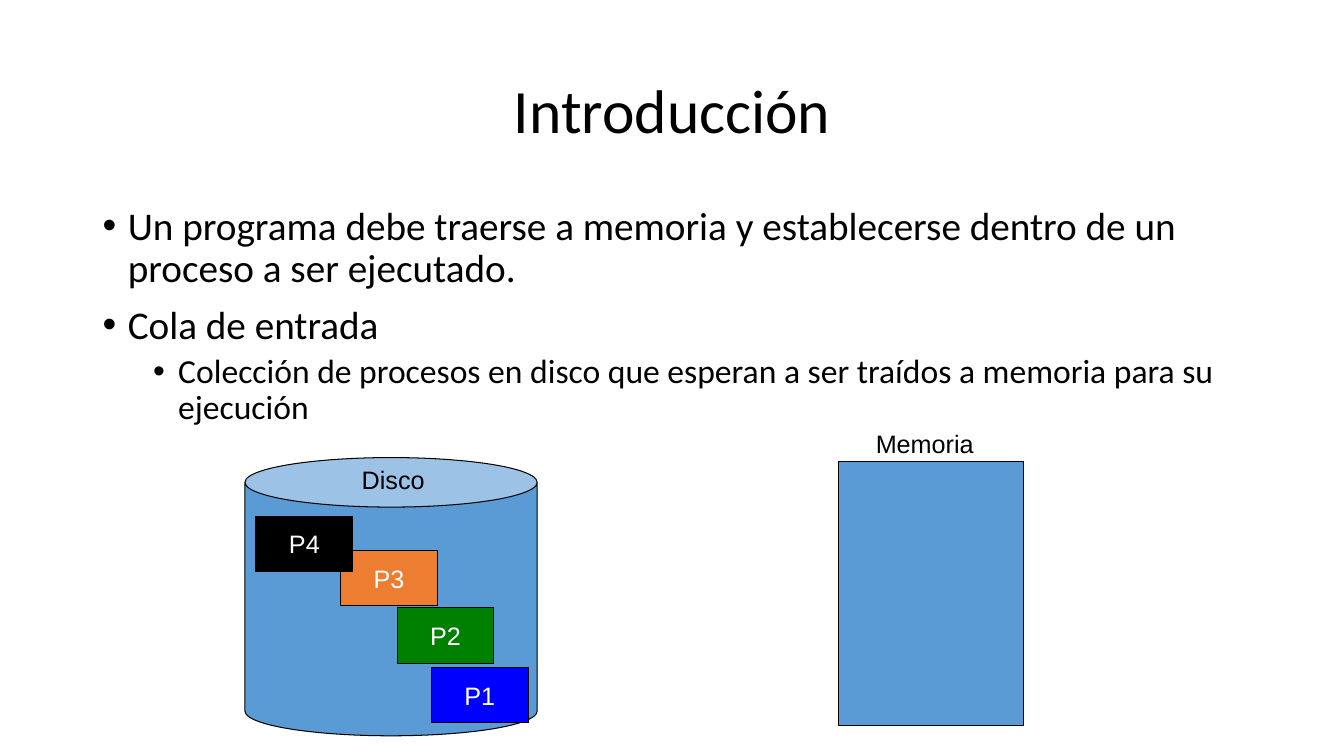
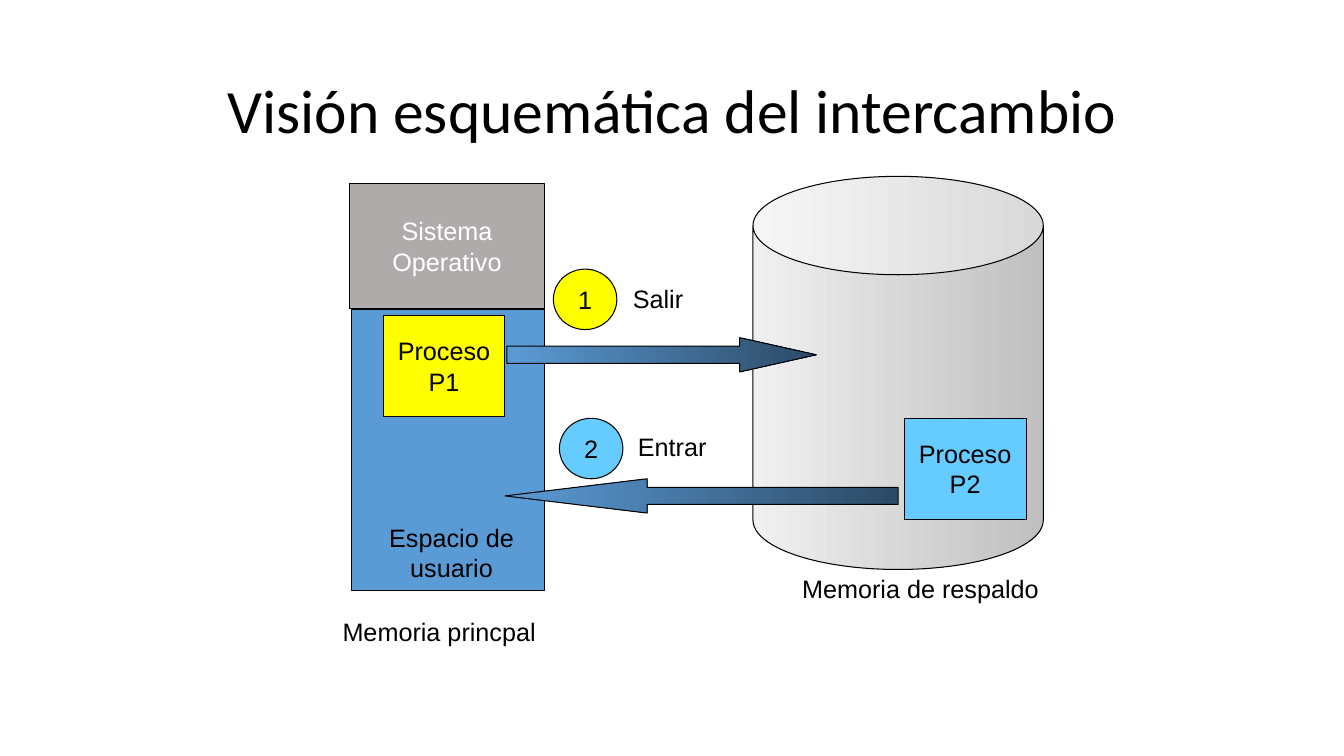
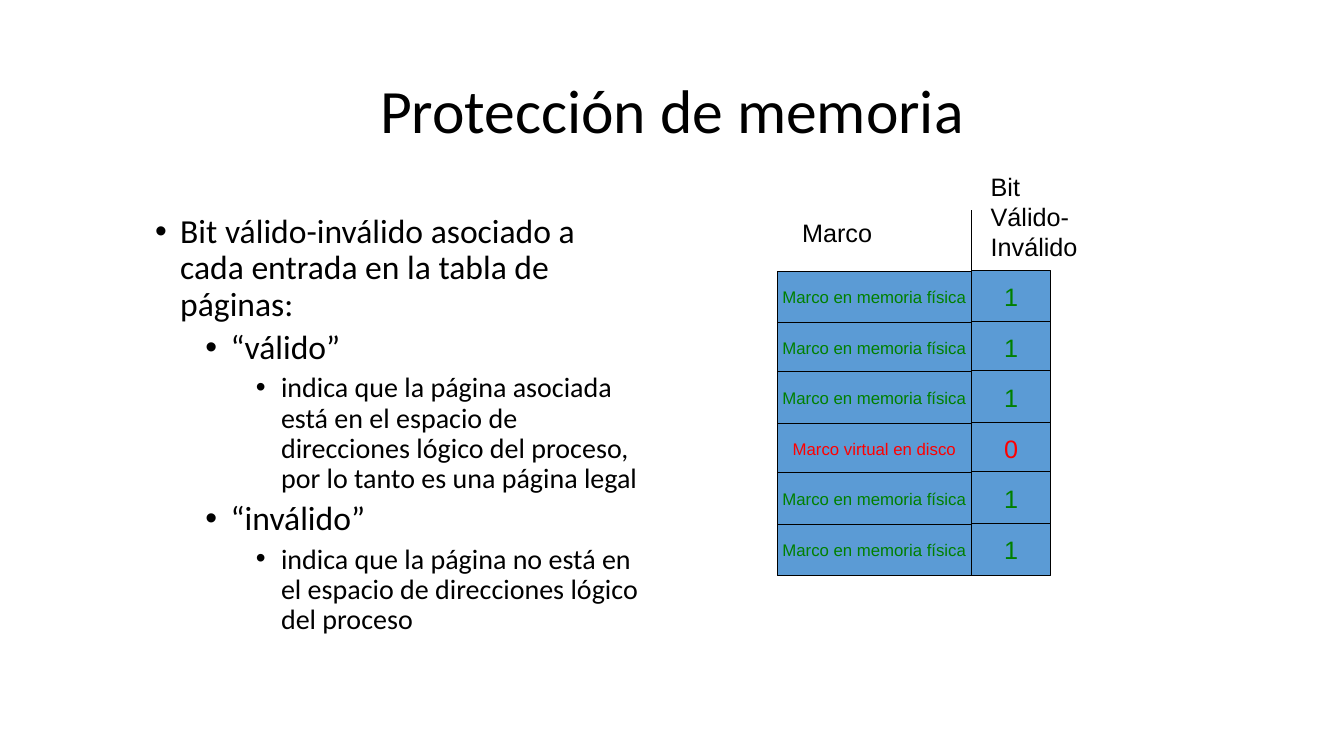
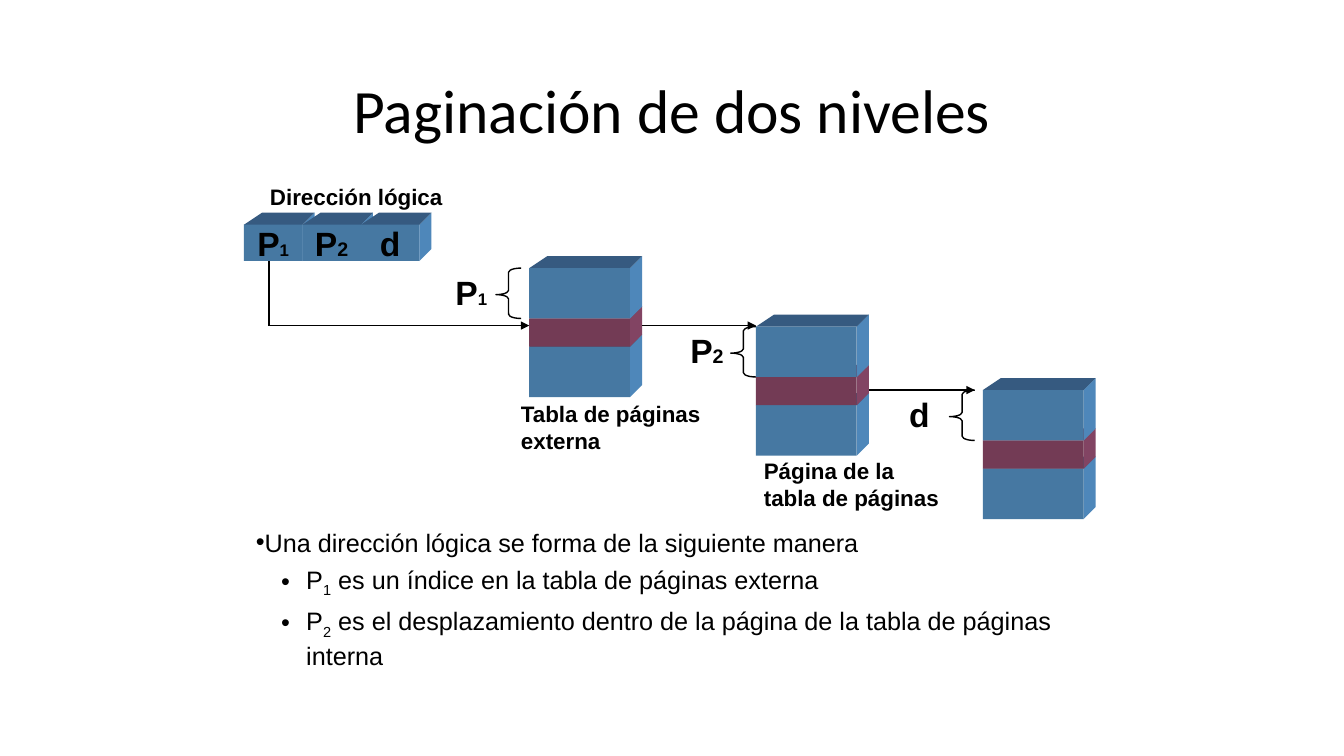
"""Build four slides on memory management, swapping and paging."""
from lxml.etree import SubElement
from pptx import Presentation
from pptx.dml.color import RGBColor
from pptx.enum.shapes import MSO_CONNECTOR as Connector, MSO_SHAPE as Preset
from pptx.enum.text import MSO_ANCHOR as Anchor, PP_ALIGN as Align
from pptx.oxml.ns import qn
from pptx.util import Pt

PX = 9144
BLACK, WHITE, BLUE = "000000", "FFFFFF", "5B9BD5"
GREEN, RED, YELLOW, SKY = "008000", "FF0000", "FFFF00", "66CCFF"
BLUE_BLOCK = ("4678A2", "365A80", "4E87BA")
PURPLE_BLOCK = ("733B55", "733B55", "824463")
rgb = RGBColor.from_string


def write(frame, lines, size=18, colour=BLACK, font="Arial", bold=False,
          align=Align.CENTER, wrap=False, sub=None):
    """Fill a frame; the second part of a tuple line is a subscript."""
    frame.word_wrap = wrap
    for index, line in enumerate(lines):
        para = frame.paragraphs[0] if index == 0 else frame.add_paragraph()
        para.alignment = align
        for place, part in enumerate((line,) if isinstance(line, str) else line):
            span = para.add_run()
            span.text = part
            span.font.name = font
            span.font.bold = bold
            span.font.size = Pt(sub if sub and place == 1 else size)
            span.font.color.rgb = rgb(colour)
            if place == 1 and not sub:
                span.font._element.set("baseline", "-25000")


def draw(page, preset, at, fill=None, line=0.75, adjust=()):
    """Add a preset shape with a plain, gradient or empty fill."""
    shape = page.shapes.add_shape(preset, *(v * PX for v in at))
    shape.shadow.inherit = False
    if fill is None:
        shape.fill.background()
    elif isinstance(fill, str):
        shape.fill.solid()
        shape.fill.fore_color.rgb = rgb(fill)
    else:
        shape.fill.gradient()
        shape.fill.gradient_angle = 0
        for stop, colour in zip(shape.fill.gradient_stops, fill):
            stop.color.rgb = rgb(colour)
    if line:
        shape.line.color.rgb = rgb(BLACK)
        shape.line.width = Pt(line)
    else:
        shape.line.fill.background()
    for index, value in enumerate(adjust):
        shape.adjustments[index] = value
    shape.text_frame.vertical_anchor = Anchor.MIDDLE
    return shape


deck = Presentation()
deck.slide_width, deck.slide_height = 12192000, 750 * PX

pages = []
for heading in ("Introducción", "Visión esquemática del intercambio",
                "Protección de memoria", "Paginación de dos niveles"):
    page = deck.slides.add_slide(deck.slide_layouts[5])
    title = page.shapes.title
    title.left, title.top, title.width, title.height = (
        v * PX for v in (92, 40, 1150, 145))
    title.text_frame.vertical_anchor = Anchor.MIDDLE
    write(title.text_frame, [heading], 44, font="Calibri", wrap=True)
    title.text_frame.paragraphs[0].line_spacing = 0.9
    pages.append(page)
intro, swap, protection, paging = pages

bullet_boxes = (
    (intro, (92, 200, 1150, 476), "Calibri", 0.9, (
        (25, 28, "Un programa debe traerse a memoria y establecerse dentro de un proceso a ser ejecutado."),
        (25, 28, "Cola de entrada"),
        (75, 24, "Colección de procesos en disco que esperan a ser traídos a memoria para su ejecución"))),
    (protection, (144, 208, 506, 462), "Calibri", 0.9, (
        (25, 24, "Bit válido-inválido asociado a cada entrada en la tabla de páginas:"),
        (75, 24, "“válido”"),
        (125, 20, "indica que la página asociada está en el espacio de direcciones lógico del proceso, por lo tanto es una página legal"),
        (75, 24, "“inválido”"),
        (125, 20, "indica que la página no está en el espacio de direcciones lógico del proceso"))),
    (paging, (244, 518, 844, 142), "Arial", 1.0, (
        (0, 18, "Una dirección lógica se forma de la siguiente manera"),
        (50, 18, ("P", "1", " es un índice en la tabla de páginas externa")),
        (50, 18, ("P", "2", " es el desplazamiento dentro de la página de la tabla de páginas interna")))),
)
for page, at, font, spacing, items in bullet_boxes:
    box = page.shapes.add_textbox(*(v * PX for v in at))
    write(box.text_frame, [item[2] for item in items], font=font,
          align=Align.LEFT, wrap=True)
    for index, para in enumerate(box.text_frame.paragraphs):
        margin, size, _ = items[index]
        para.line_spacing = spacing
        para.space_before = Pt(0 if index == 0 else 10 if margin == 25 else 5)
        props = para._p.get_or_add_pPr()
        props.set("marL", str(margin * PX))
        props.set("indent", str(-min(margin, 25) * PX))
        SubElement(props, qn("a:buFont")).set("typeface", "Arial")
        SubElement(props, qn("a:buChar")).set("char", "•")
        for span in para.runs:
            span.font.size = Pt(size)

draw(intro, Preset.CAN, (243, 454, 290, 276), BLUE, adjust=[0.178])
draw(intro, Preset.RECTANGLE, (832, 458, 183, 262), BLUE)
for name, left, top, fill in (("P1", 428, 662, "0000FF"), ("P2", 394, 603, GREEN),
                              ("P3", 338, 546, "ED7D31"), ("P4", 254, 512, BLACK)):
    process = draw(intro, Preset.RECTANGLE, (left, top, 96, 55), fill)
    write(process.text_frame, [name], colour=WHITE)

user_space = draw(swap, Preset.RECTANGLE, (349, 307, 191, 279), BLUE)
system = draw(swap, Preset.RECTANGLE, (347, 182, 193, 124), "AFABAB")
write(system.text_frame, ["Sistema Operativo"], colour=WHITE, wrap=True)
draw(swap, Preset.CAN, (747, 175, 288, 390), ("F1F0F0", "C0C0C0"), adjust=[0.339])
user_label = swap.shapes.add_textbox(*(v * PX for v in (376, 513, 144, 70)))
write(user_label.text_frame, ["Espacio de", "usuario"])
for name, left, top, fill in (("P1", 380, 313, YELLOW), ("P2", 897, 415, SKY)):
    process = draw(swap, Preset.RECTANGLE, (left, top, 121, 100), fill)
    write(process.text_frame, ["Proceso", name])
for preset, at, point in ((Preset.RIGHT_ARROW, (503, 335, 307, 34), 2.237),
                          (Preset.LEFT_ARROW, (501, 475, 390, 34), 4.148)):
    draw(swap, preset, at, (BLUE, "2C4A66"), adjust=[0.5, point])
for number, left, top, fill in (("1", 549, 267, YELLOW), ("2", 555, 415, SKY)):
    step = draw(swap, Preset.OVAL, (left, top, 63, 60), fill)
    write(step.text_frame, [number])

for row, bit in enumerate("111011"):
    top = 269 + 100 * (row // 2) + 51 * (row % 2)
    colour = GREEN if bit == "1" else RED
    place = "Marco en memoria física" if bit == "1" else "Marco virtual en disco"
    frame_cell = draw(protection, Preset.RECTANGLE, (771, top, 193, 51), BLUE)
    write(frame_cell.text_frame, [place], 12, colour)
    bit_cell = draw(protection, Preset.RECTANGLE, (964, top - 1, 78, 52), BLUE)
    write(bit_cell.text_frame, [bit], colour=colour)

blocks = [(242 + 58 * index, 223, 58, 36, BLUE_BLOCK, line, sub)
          for index, (line, sub) in enumerate(((("P", "1"), 12), (("P", "2"), 14), ("d", None)))]
for left, top in ((525, 266), (750, 324), (975, 387)):
    blocks += [(left, top + 78, 100, 50, BLUE_BLOCK, None, None),
               (left, top + 50, 100, 28, PURPLE_BLOCK, None, None),
               (left, top, 100, 50, BLUE_BLOCK, None, None)]
    draw(paging, Preset.LEFT_BRACE, (left - 33 if left == 525 else left - 25 if left == 750 else left - 33,
                                     top, 25, 50), line=1, adjust=[0.167, 0.527])
for left, top, width, height, (front, lid, side), line, sub in blocks:
    right, bottom = left + width, top + height
    for colour, points in (
            (side, ((right, top), (right + 12, top - 12), (right + 12, bottom - 12), (right, bottom))),
            (lid, ((left, top), (left + 18, top - 12), (right + 12, top - 12), (right, top)))):
        builder = paging.shapes.build_freeform(*points[0], scale=PX)
        builder.add_line_segments(points[1:], close=True)
        face = builder.convert_to_shape()
        face.shadow.inherit = False
        face.fill.solid()
        face.fill.fore_color.rgb = rgb(colour)
        face.line.fill.background()
    block = draw(paging, Preset.RECTANGLE, (left, top, width, height), front, line=0)
    if line:
        write(block.text_frame, [line], 24, bold=True, sub=sub)

for page, at, size, sub, lines in (
        (intro, (859, 420, 117, 40), 18, None, ["Memoria"]),
        (intro, (349, 456, 83, 40), 18, None, ["Disco"]),
        (swap, (330, 607, 212, 40), 18, None, ["Memoria princpal"]),
        (swap, (786, 564, 256, 40), 18, None, ["Memoria de respaldo"]),
        (swap, (618, 276, 70, 40), 18, None, ["Salir"]),
        (swap, (623, 423, 88, 40), 18, None, ["Entrar"]),
        (protection, (786, 211, 90, 40), 18, None, ["Marco"]),
        (protection, (973, 165, 128, 100), 18, None, ["Bit Válido-Inválido"]),
        (paging, (442, 265, 52, 50), 24, 12, [("P", "1")]),
        (paging, (675, 322, 53, 50), 24, 14, [("P", "2")]),
        (paging, (892, 386, 40, 50), 24, None, ["d"]),
        (paging, (258, 177, 192, 37), 16, None, ["Dirección lógica"]),
        (paging, (507, 392, 200, 64), 16, None, ["Tabla de páginas", "externa"]),
        (paging, (748, 449, 194, 64), 16, None, ["Página de la", "tabla de páginas"])):
    label = page.shapes.add_textbox(*(v * PX for v in at))
    write(label.text_frame, lines, size, bold=page is paging, align=Align.LEFT,
          wrap=page is protection, sub=sub)

for page, ends, width, arrow in (
        (protection, (964, 278, 964, 208), 0.75, False),
        (paging, (267, 259, 267, 323), 1, False),
        (paging, (267, 323, 525, 323), 1, True),
        (paging, (637, 323, 750, 323), 1, True),
        (paging, (862, 387, 967, 387), 1, True)):
    link = page.shapes.add_connector(Connector.STRAIGHT, *(v * PX for v in ends))
    link.line.color.rgb = rgb(BLACK)
    link.line.width = Pt(width)
    if arrow:
        SubElement(link.line._get_or_add_ln(), qn("a:tailEnd")).set("type", "triangle")
    SubElement(link._element.spPr, qn("a:effectLst"))

deck.save("out.pptx")
